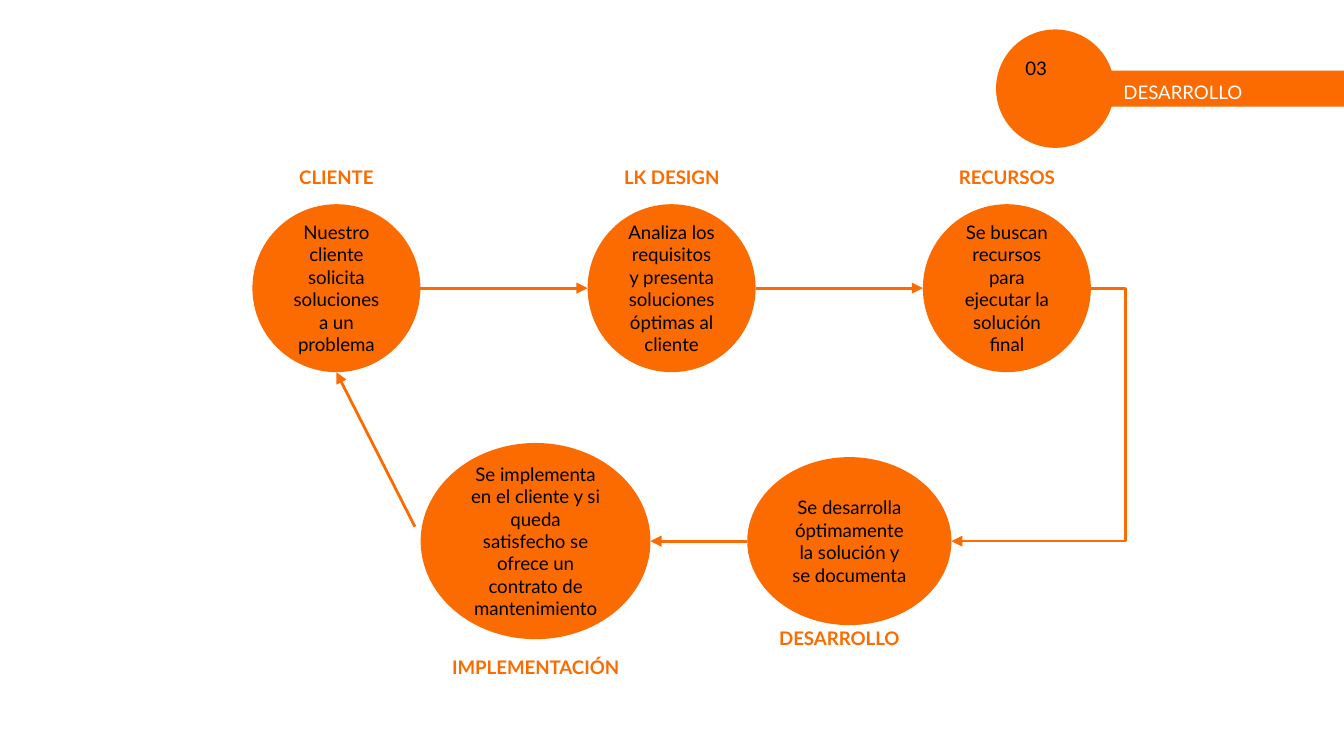
from dataclasses import dataclass

from lxml import etree
from pptx import Presentation
from pptx.dml.color import RGBColor
from pptx.enum import shapes, text
from pptx.oxml import ns
from pptx.util import Pt


@dataclass(frozen=True)
class Theme:
    orange: RGBColor = RGBColor(0xFB, 0x6B, 0x00)
    white: RGBColor = RGBColor(0xFF, 0xFF, 0xFF)
    black: RGBColor = RGBColor(0, 0, 0)
    font: str = "Lato"
    size: float = 10
    line: float = 1.5
    inset: float = 7.2


THEME = Theme()
CENTER = text.PP_ALIGN.CENTER
MIDDLE = text.MSO_ANCHOR.MIDDLE

# Circles of the upper row: heading and text
UPPER_STEPS = [
    ("CLIENTE", "Nuestro cliente solicita soluciones a un problema"),
    ("LK DESIGN", "Analiza los requisitos y presenta soluciones óptimas al cliente"),
    ("RECURSOS", "Se buscan recursos para ejecutar la solución final"),
]
# Ovals of the lower row: centre x, width, height, heading centre x and top, heading, text
LOWER_STEPS = [
    (286.9, 123.1, 105.1, 286.9, 342.7, "IMPLEMENTACIÓN",
     "Se implementa en el cliente y si queda satisfecho se ofrece "
     "un contrato de mantenimiento"),
    (455, 109.4, 90, 449.6, 326.9, "DESARROLLO",
     "Se desarrolla óptimamente la solución y se documenta"),
]
DIAMETER, FIRST_X, PITCH = 90, 180.2, 179.6
UPPER_Y, LOWER_Y = 154.4, 289.9
LABEL_WIDTH, LABEL_HEIGHT, UPPER_LABEL_TOP = 115.9, 29.5, 79.9


def write_text(shape, words, color=THEME.black, bold=False, align=CENTER, anchor=MIDDLE):
    frame = shape.text_frame
    frame.word_wrap = True
    frame.vertical_anchor = anchor
    frame.margin_left = frame.margin_right = Pt(THEME.inset)
    frame.margin_top = frame.margin_bottom = Pt(THEME.inset)
    para = frame.paragraphs[0]
    para.alignment = align
    span = para.add_run()
    span.text = words
    span.font.name = THEME.font
    span.font.size = Pt(THEME.size)
    span.font.bold = bold
    span.font.color.rgb = color


def add_text_box(page, left, top, width, height, words, **style):
    box = page.shapes.add_textbox(Pt(left), Pt(top), Pt(width), Pt(height))
    write_text(box, words, **style)


def add_solid(page, kind, left, top, width, height):
    shape = page.shapes.add_shape(kind, Pt(left), Pt(top), Pt(width), Pt(height))
    shape.shadow.inherit = False
    shape.fill.solid()
    shape.fill.fore_color.rgb = THEME.orange
    shape.line.fill.background()
    return shape


def add_step(page, x, y, width, height, words):
    oval = add_solid(page, shapes.MSO_SHAPE.OVAL, x - width / 2, y - height / 2, width, height)
    write_text(oval, words)


def add_label(page, x, top, words):
    add_text_box(page, x - LABEL_WIDTH / 2, top, LABEL_WIDTH, LABEL_HEIGHT, words,
                 color=THEME.orange, bold=True)


def add_arrow(page, start, end, kind=shapes.MSO_CONNECTOR.STRAIGHT):
    arrow = page.shapes.add_connector(kind, *map(Pt, start + end))
    arrow.line.color.rgb = THEME.orange
    arrow.line.width = Pt(THEME.line)
    outline = arrow.line._get_or_add_ln()
    etree.SubElement(outline, ns.qn("a:tailEnd"), type="triangle")
    etree.SubElement(arrow._element.spPr, ns.qn("a:effectLst"))
    return arrow


def add_elbow_arrow(page, start, end, bend):
    arrow = add_arrow(page, start, end, shapes.MSO_CONNECTOR.ELBOW)
    guides = arrow._element.spPr.find(ns.qn("a:prstGeom")).get_or_add_avLst()
    etree.SubElement(guides, ns.qn("a:gd"), name="adj1", fmla=f"val {round(bend * 100000)}")


def add_section_header(page):
    add_solid(page, shapes.MSO_SHAPE.RECTANGLE, 592.6, 37.9, 130.3, 19.2)
    add_text_box(page, 466.6, 25.2, 205.9, 36, "DESARROLLO", color=THEME.white,
                 align=text.PP_ALIGN.RIGHT, anchor=text.MSO_ANCHOR.BOTTOM)
    add_solid(page, shapes.MSO_SHAPE.OVAL, 533.6, 15.8, 63.4, 63.4)
    add_text_box(page, 542.2, 24.5, 90.7, 46.1, "03",
                 align=text.PP_ALIGN.LEFT, anchor=text.MSO_ANCHOR.TOP)


def add_steps(page):
    for index, (label, words) in enumerate(UPPER_STEPS):
        x = FIRST_X + index * PITCH
        add_step(page, x, UPPER_Y, DIAMETER, DIAMETER, words)
        add_label(page, x, UPPER_LABEL_TOP, label)
    for x, width, height, label_x, label_top, label, words in LOWER_STEPS:
        add_step(page, x, LOWER_Y, width, height, words)
        add_label(page, label_x, label_top, label)


def add_flow(page):
    radius = DIAMETER / 2
    # Left to right along the upper row
    for index in range(len(UPPER_STEPS) - 1):
        x = FIRST_X + index * PITCH
        add_arrow(page, (x + radius, UPPER_Y), (x + PITCH - radius, UPPER_Y))
    # Down to the lower row, right to left, and back to the start
    implement, develop = LOWER_STEPS
    last_x = FIRST_X + 2 * PITCH
    add_elbow_arrow(page, (last_x + radius, UPPER_Y),
                    (develop[0] + develop[1] / 2, LOWER_Y), bend=-0.25)
    add_arrow(page, (develop[0] - develop[1] / 2, LOWER_Y),
              (implement[0] + implement[1] / 2, LOWER_Y))
    add_arrow(page, (222.3, 282.2), (FIRST_X, UPPER_Y + radius))


def main():
    deck = Presentation()
    deck.slide_width, deck.slide_height = Pt(720), Pt(405)
    page = deck.slides.add_slide(deck.slide_layouts[6])
    add_section_header(page)
    add_steps(page)
    add_flow(page)
    deck.save("out.pptx")


if __name__ == "__main__":
    main()
